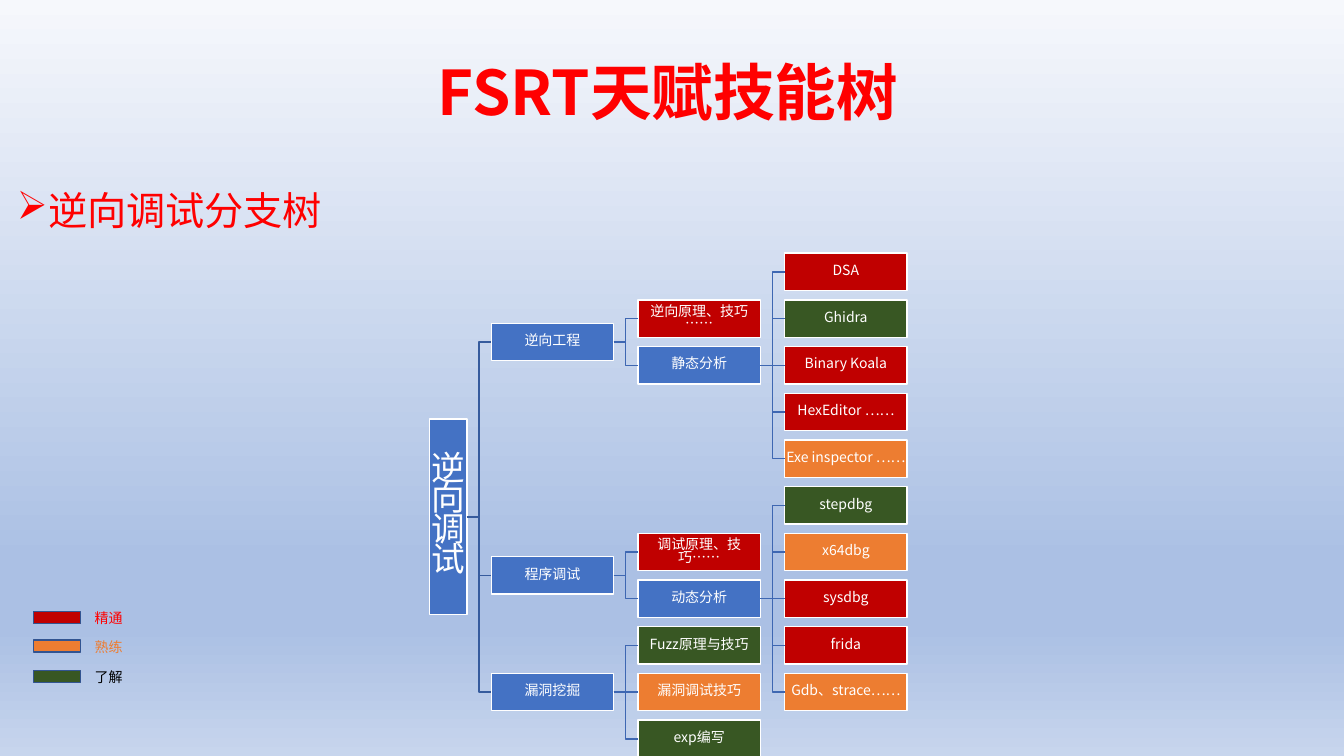
from lxml.etree import SubElement
from pptx import Presentation
from pptx.dml.color import RGBColor
from pptx.enum.shapes import MSO_CONNECTOR, MSO_SHAPE
from pptx.enum.text import MSO_ANCHOR, PP_ALIGN
from pptx.oxml.ns import qn
from pptx.util import Pt

RED = RGBColor(0xFF, 0x00, 0x00)
WHITE = RGBColor(0xFF, 0xFF, 0xFF)
BLACK = RGBColor(0x00, 0x00, 0x00)
BLUE = RGBColor(0x44, 0x72, 0xC4)
EXPERT = RGBColor(0xC0, 0x00, 0x00)
SKILLED = RGBColor(0xED, 0x7D, 0x31)
AWARE = RGBColor(0x38, 0x57, 0x23)
ROOT_LINE = RGBColor(0x36, 0x5B, 0x9D)
BRANCH_LINE = RGBColor(0x3E, 0x67, 0xB2)
KEY_LINE = RGBColor(0x32, 0x54, 0x91)
BACKDROP = [(0, RGBColor(0xF6, 0xF8, 0xFC)), (74, RGBColor(0xAB, 0xC0, 0xE4)),
            (83, RGBColor(0xAB, 0xC0, 0xE4)), (100, RGBColor(0xC7, 0xD5, 0xED))]

FONT = "Noto Sans CJK SC"
BOX_W, BOX_H = 87.4, 26.7
ROOT_X, ROOT_H = 306.8, 139.7
COLUMN_X, COLUMN_STEP = 350.9, 104.8
ROW_Y, ROW_STEP = 194.2, 33.35

TREE = ("逆向调试", BLUE, [
    ("逆向工程", BLUE, [
        ("逆向原理、技巧 ……", EXPERT, 1),
        ("静态分析", BLUE, [
            ("DSA", EXPERT, 0),
            ("Ghidra", AWARE, 1),
            ("Binary Koala", EXPERT, 2),
            ("HexEditor ……", EXPERT, 3),
            ("Exe inspector ……", SKILLED, 4)])]),
    ("程序调试", BLUE, [
        ("调试原理、技巧……", EXPERT, 6),
        ("动态分析", BLUE, [
            ("stepdbg", AWARE, 5),
            ("x64dbg", SKILLED, 6),
            ("sysdbg", EXPERT, 7),
            ("frida", EXPERT, 8),
            ("Gdb、strace……", SKILLED, 9)])]),
    ("漏洞挖掘", BLUE, [
        ("Fuzz原理与技巧", AWARE, 8),
        ("漏洞调试技巧", SKILLED, 9),
        ("exp编写", AWARE, 10)])])

LEGEND = [("精通", EXPERT, RED, 437), ("熟练", SKILLED, SKILLED, 457.2),
          ("了解", AWARE, BLACK, 478.8)]


class Deck:
    def __init__(self):
        self.prs = Presentation()
        self.prs.slide_width, self.prs.slide_height = Pt(960), Pt(540)
        self.s = self.prs.slides.add_slide(self.prs.slide_layouts[5])

    def apply(self, target, values):
        for name, value in values.items():
            setattr(target, name, value)

    def background(self, stops):
        fill = self.s.background.fill
        fill.gradient()
        fill.gradient_angle = 270
        gs_list = self.s.element.find(".//" + qn("a:gsLst"))
        for gs in list(gs_list):
            gs_list.remove(gs)
        for pos, color in stops:
            gs = SubElement(gs_list, qn("a:gs"), pos=str(pos * 1000))
            SubElement(gs, qn("a:srgbClr"), val=str(color))

    def label(self, sp, text, size, color, bold=False, align=PP_ALIGN.LEFT,
              anchor=MSO_ANCHOR.TOP, spacing=1.0, inset=None, bullet=None):
        tf = sp.text_frame
        self.apply(tf, {"word_wrap": True, "vertical_anchor": anchor})
        if inset is not None:
            sides = ("left", "top", "right", "bottom")
            self.apply(tf, {f"margin_{side}": Pt(inset) for side in sides})
        p = tf.paragraphs[0]
        self.apply(p, {"alignment": align, "line_spacing": spacing})
        if bullet:
            pPr = p._p.get_or_add_pPr()
            pPr.set("marL", str(Pt(18)))
            pPr.set("indent", str(Pt(-18)))
            SubElement(pPr, qn("a:buChar"), char=bullet)
        r = p.add_run()
        r.text = text
        self.apply(r.font, {"size": Pt(size), "bold": bold, "name": FONT})
        r.font.color.rgb = color
        SubElement(r._r.get_or_add_rPr(), qn("a:ea"), typeface=FONT)

    def title(self, text, x, y, w, h):
        sp = self.s.shapes.title
        self.apply(sp, {"left": Pt(x), "top": Pt(y), "width": Pt(w), "height": Pt(h)})
        self.label(sp, text, 44, RED, bold=True, align=PP_ALIGN.CENTER,
                   anchor=MSO_ANCHOR.MIDDLE, spacing=0.9)

    def text(self, text, x, y, w, h, size, color, **style):
        sp = self.s.shapes.add_textbox(Pt(x), Pt(y), Pt(w), Pt(h))
        self.label(sp, text, size, color, **style)

    def box(self, x, y, w, h, fill, line):
        sp = self.s.shapes.add_shape(MSO_SHAPE.RECTANGLE, Pt(x), Pt(y), Pt(w), Pt(h))
        sp.shadow.inherit = False
        sp.fill.solid()
        sp.fill.fore_color.rgb = fill
        sp.line.color.rgb = line
        sp.line.width = Pt(1)
        return sp

    def link(self, parent, child, color):
        middles = [sp.top + sp.height // 2 for sp in (parent, child)]
        level = abs(middles[0] - middles[1]) < Pt(1)
        kind = MSO_CONNECTOR.STRAIGHT if level else MSO_CONNECTOR.ELBOW
        cx = self.s.shapes.add_connector(kind, 0, 0, 0, 0)
        cx.begin_connect(parent, 3)
        cx.end_connect(child, 1)
        cx.line.color.rgb = color
        cx.line.width = Pt(1)
        SubElement(cx._element.spPr, qn("a:effectLst"))

    def node(self, entry, depth=0):
        text, fill, below = entry
        children = []
        row = below
        if isinstance(below, list):
            children = [self.node(child, depth + 1) for child in below]
            row = (children[0][1] + children[-1][1]) / 2
        middle = ROW_Y + row * ROW_STEP
        if depth:
            x, w, h, size = COLUMN_X + (depth - 1) * COLUMN_STEP, BOX_W, BOX_H, 10
        else:
            x, w, h, size = ROOT_X, BOX_H, ROOT_H, 24
        sp = self.box(x, middle - h / 2, w, h, fill, WHITE)
        self.label(sp, text, size, WHITE, align=PP_ALIGN.CENTER,
                   anchor=MSO_ANCHOR.MIDDLE, spacing=0.75, inset=0.7)
        for child, _ in children:
            self.link(sp, child, BRANCH_LINE if depth else ROOT_LINE)
        return sp, row


def main():
    deck = Deck()
    deck.background(BACKDROP)
    deck.title("FSRT天赋技能树", 5, 23, 944.6, 90.7)
    deck.text("逆向调试分支树", 5, 133.2, 944.6, 397.4, 28, RED, spacing=0.9, bullet="➢")
    deck.node(TREE)
    for name, fill, color, y in LEGEND:
        deck.box(23.8, y, 33.8, 8.6, fill, KEY_LINE)
        deck.text(name, 60.5, y - 5, 41, 19.4, 10, color)
    deck.prs.save("out.pptx")


if __name__ == "__main__":
    main()
